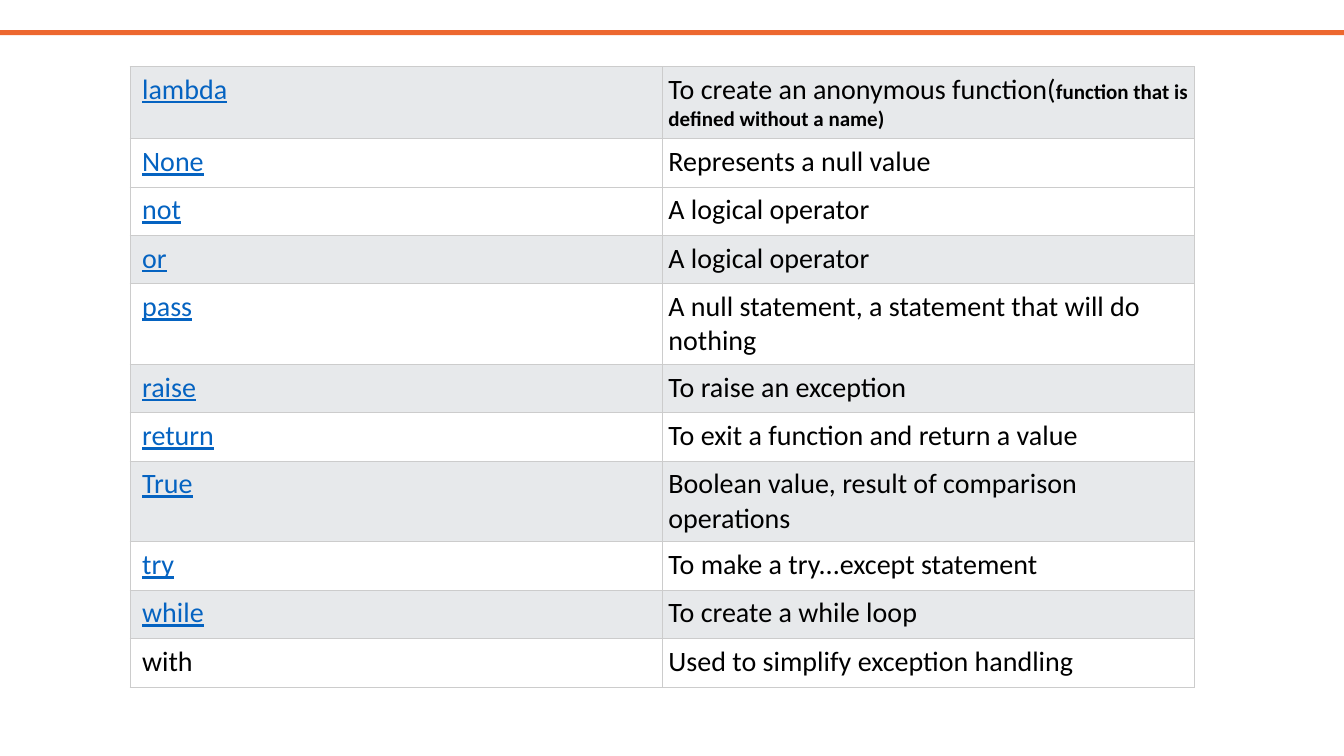
from lxml import etree
from pptx import Presentation
from pptx.dml.color import RGBColor
from pptx.enum import shapes
from pptx.oxml import ns
from pptx.util import Inches, Pt

ORANGE = RGBColor(0xED, 0x68, 0x2F)
GREY = RGBColor(0xE7, 0xE9, 0xEB)
WHITE = RGBColor(0xFF, 0xFF, 0xFF)
BLACK = RGBColor(0x00, 0x00, 0x00)
LINK_BLUE = RGBColor(0x05, 0x63, 0xC1)
BORDER = RGBColor(0xCC, 0xCC, 0xCC)

# keyword, description, row height, row fill
KEYWORDS = [
    ("lambda", "To create an anonymous function(", 0.7, GREY),
    ("None", "Represents a null value", 0.48, WHITE),
    ("not", "A logical operator", 0.48, WHITE),
    ("or", "A logical operator", 0.48, GREY),
    ("pass", "A null statement, a statement that will do nothing", 0.79, WHITE),
    ("raise", "To raise an exception", 0.48, GREY),
    ("return", "To exit a function and return a value", 0.48, WHITE),
    ("True", "Boolean value, result of comparison operations", 0.79, GREY),
    ("try", "To make a try...except statement", 0.48, WHITE),
    ("while", "To create a while loop", 0.48, GREY),
    ("with", "Used to simplify exception handling", 0.48, WHITE),
]


def add_text(p, content, size=20, color=BLACK, bold=False, underline=False):
    r = p.add_run()
    r.text = content
    r.font.name = "Calibri"
    r.font.size = Pt(size)
    r.font.color.rgb = color
    r.font.bold = bold
    r.font.underline = underline


def add_borders(cell):
    tc_pr = cell._tc.get_or_add_tcPr()
    for side in ("a:lnL", "a:lnR", "a:lnT", "a:lnB"):
        ln = etree.SubElement(tc_pr, ns.qn(side), w=str(Pt(0.75)))
        fill = etree.SubElement(ln, ns.qn("a:solidFill"))
        etree.SubElement(fill, ns.qn("a:srgbClr"), val=str(BORDER))


prs = Presentation()
prs.slide_width = Inches(13.33)
prs.slide_height = Inches(7.5)
s = prs.slides.add_slide(prs.slide_layouts[6])

bar = s.shapes.add_shape(shapes.MSO_SHAPE.RECTANGLE, 0, Inches(0.3),
                         prs.slide_width, Inches(0.05))
bar.shadow.inherit = False
bar.fill.solid()
bar.fill.fore_color.rgb = ORANGE
bar.line.fill.background()

table = s.shapes.add_table(len(KEYWORDS), 2, Inches(1.29), Inches(0.66),
                           Inches(10.56), Inches(6.13)).table
table.first_row = False
table.horz_banding = False

for row, (keyword, description, height, fill) in enumerate(KEYWORDS):
    table.rows[row].height = Inches(height)
    for col, left_margin in enumerate((0.12, 0.06)):
        cell = table.cell(row, col)
        cell.margin_left = Inches(left_margin)
        cell.margin_right = cell.margin_top = cell.margin_bottom = Inches(0.06)
        add_borders(cell)
        cell.fill.solid()
        cell.fill.fore_color.rgb = fill

    linked = keyword != "with"
    add_text(table.cell(row, 0).text_frame.paragraphs[0], keyword,
             color=LINK_BLUE if linked else BLACK, underline=linked)
    add_text(table.cell(row, 1).text_frame.paragraphs[0], description)

add_text(table.cell(0, 1).text_frame.paragraphs[0],
         "function that is defined without a name)", size=15, bold=True)

prs.save("out.pptx")
